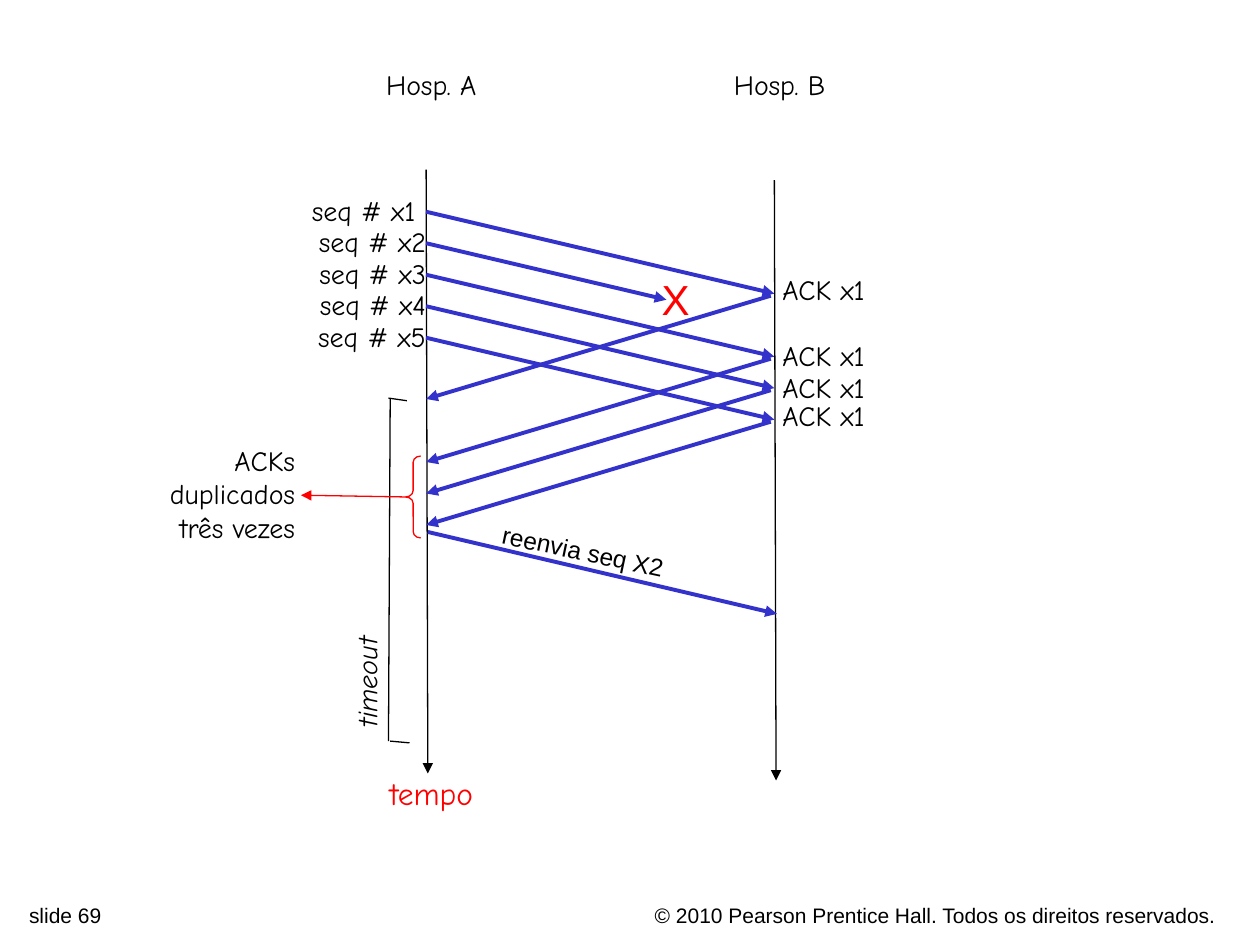
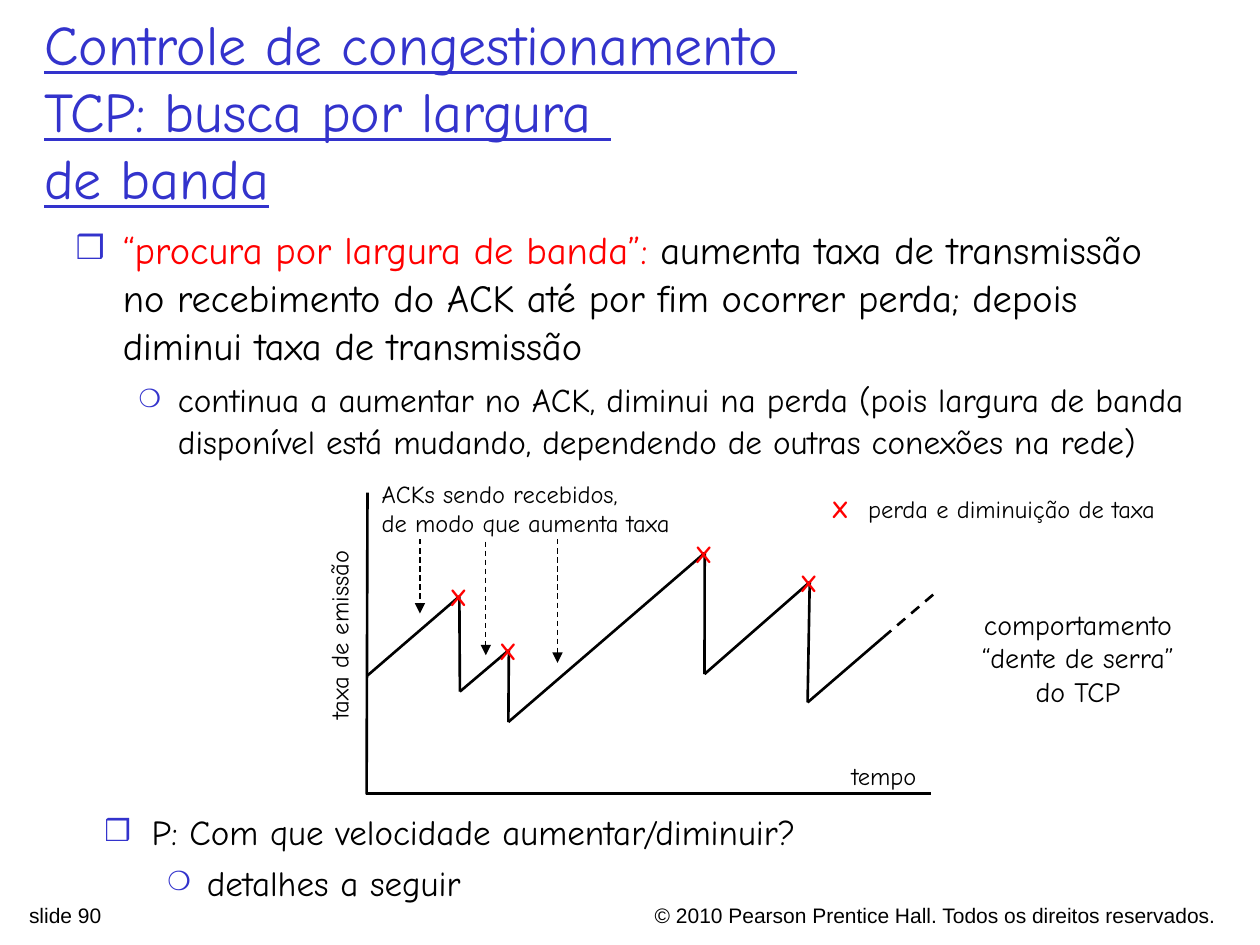
from dataclasses import dataclass
from itertools import pairwise

from lxml.etree import SubElement
from pptx import Presentation
from pptx.dml.color import RGBColor
from pptx.enum.dml import MSO_LINE
from pptx.enum.shapes import MSO_CONNECTOR, MSO_SHAPE
from pptx.enum.text import MSO_ANCHOR, MSO_AUTO_SIZE, PP_ALIGN as Align
from pptx.oxml.ns import qn
from pptx.util import Pt


@dataclass(frozen=True)
class Theme:
    """Colours, fonts and type sizes shared by the slides."""
    black: RGBColor = RGBColor(0x00, 0x00, 0x00)
    blue: RGBColor = RGBColor(0x33, 0x33, 0xCC)
    red: RGBColor = RGBColor(0xFF, 0x00, 0x00)
    hand: str = "Comic Neue"
    plain: str = "Arial"
    title: int = 32
    lost: int = 24
    lead: int = 22
    question: int = 20
    detail: int = 19
    axis: int = 18
    label: int = 16
    small: int = 14
    footer: int = 12
    thin: float = 0.75
    medium: float = 1.5
    thick: float = 2.25


@dataclass(frozen=True)
class Box:
    """A region of a slide, in points."""
    left: float
    top: float
    width: float
    height: float

    def point(self, x, y):
        """Return the slide position of a point inside the box."""
        return self.left + x, self.top + y

    def inner(self, x, y, width, height):
        """Return a smaller box placed inside this one."""
        return Box(*self.point(x, y), width, height)

    def centred(self, x, y, width, height):
        """Return a smaller box centred on a point of this one."""
        return self.inner(x - width / 2, y - height / 2, width, height)

    def lengths(self):
        """Return left, top, width and height as lengths."""
        return [Pt(value) for value in (self.left, self.top, self.width, self.height)]


THEME = Theme()
BULLETS = (
    {"mark": "❒", "percent": 85, "margin": 27, "hang": 27},
    {"mark": "❍", "percent": 75, "margin": 58.5, "hang": 22.5},
)


def style_run(run, size, color=THEME.black, font=THEME.hand):
    """Give a run its font, size and colour."""
    run.font.name = font
    run.font.size = Pt(size)
    run.font.color.rgb = color


def add_label(slide, box, text, size=THEME.label, color=THEME.black, font=THEME.hand,
              align=Align.LEFT, bold=False, italic=False, rotation=0):
    """Add a text box in one style."""
    label = slide.shapes.add_textbox(*box.lengths())
    label.rotation = rotation
    label.text_frame.word_wrap = True
    label.text_frame.text = text
    for paragraph in label.text_frame.paragraphs:
        paragraph.alignment = align
        for run in paragraph.runs:
            style_run(run, size, color, font)
            run.font.bold = bold
            run.font.italic = italic
    return label


def add_line(slide, start, end, color=THEME.black, width=THEME.thin, arrow=False, dashed=False):
    """Add a straight line, with an arrowhead at its end if asked."""
    ends = [Pt(value) for value in (*start, *end)]
    line = slide.shapes.add_connector(MSO_CONNECTOR.STRAIGHT, *ends)
    line.line.color.rgb = color
    line.line.width = Pt(width)
    if dashed:
        line.line.dash_style = MSO_LINE.DASH
    properties = line._element.spPr
    if arrow:
        SubElement(properties.find(qn("a:ln")), qn("a:tailEnd"), type="triangle")
    SubElement(properties, qn("a:effectLst"))
    return line


def add_footer(slide, box, number):
    """Add the slide number and the copyright line."""
    add_label(slide, box.inner(0, 0, 253, 17), f"slide {number}", THEME.footer, font=THEME.plain)
    add_label(slide, box.inner(box.width - 368, 0, 368, 17),
              "© 2010 Pearson Prentice Hall. Todos os direitos reservados.",
              THEME.footer, font=THEME.plain, align=Align.RIGHT)


def place(placeholder, box):
    """Move a placeholder to a box and return its text frame."""
    placeholder.left, placeholder.top, placeholder.width, placeholder.height = box.lengths()
    frame = placeholder.text_frame
    frame.auto_size = MSO_AUTO_SIZE.NONE
    frame.word_wrap = True
    return frame


def fill_title(placeholder, box, text):
    """Write the underlined slide title."""
    frame = place(placeholder, box)
    frame.vertical_anchor = MSO_ANCHOR.MIDDLE
    frame.text = text
    paragraph = frame.paragraphs[0]
    paragraph.alignment = Align.LEFT
    for run in paragraph.runs:
        style_run(run, THEME.title, THEME.blue)
        run.font.underline = True


def add_bullet(paragraph, level):
    """Set the level, indent and bullet of a paragraph."""
    bullet = BULLETS[level]
    paragraph.level = level
    properties = paragraph._p.get_or_add_pPr()
    properties.set("marL", str(Pt(bullet["margin"])))
    properties.set("indent", str(-Pt(bullet["hang"])))
    color = SubElement(properties, qn("a:buClr"))
    SubElement(color, qn("a:srgbClr"), val=str(THEME.blue))
    SubElement(properties, qn("a:buSzPct"), val=str(bullet["percent"] * 1000))
    SubElement(properties, qn("a:buChar"), char=bullet["mark"])


def fill_list(placeholder, box, items, spacing=1.0):
    """Write items of level, size and coloured pieces as a bulleted list."""
    frame = place(placeholder, box)
    for index, (level, size, pieces) in enumerate(items):
        paragraph = frame.add_paragraph() if index else frame.paragraphs[0]
        add_bullet(paragraph, level)
        paragraph.space_before = Pt(5 if index else 0)
        paragraph.line_spacing = spacing
        for text, color in pieces:
            run = paragraph.add_run()
            run.text = text
            style_run(run, size, color)


def draw_hosts(slide, box, host_a, host_b):
    """Draw the two hosts and their time lines."""
    for name, x, top, bottom in (("A", host_a, 62, 407), ("B", host_b, 68, 411)):
        add_label(slide, box.inner(x - 37, 0, 80, 27), f"Hosp. {name}", align=Align.CENTER)
        add_line(slide, box.point(x, top), box.point(x + 1, bottom), arrow=True)
    add_label(slide, box.inner(host_a - 37, 404, 80, 29), "tempo", THEME.axis, THEME.red,
              align=Align.CENTER)


def draw_segments(slide, box, host_a, host_b):
    """Draw the sent segments, their acknowledgements and the resent one."""
    arrow = {"color": THEME.blue, "width": THEME.thick, "arrow": True}
    first, step, fall, ack_fall = 86, 18, 46.8, 59
    lost = 1
    ack_nudges = {0: -17, 2: -15, 3: -15, 4: -17}
    for index in range(5):
        sent = first + step * index
        reach = 0.69 if index == lost else 1
        end = box.point(host_a + (host_b - host_a) * reach, sent + fall * reach)
        add_line(slide, box.point(host_a, sent), end, **arrow)
        right = host_a + (7 if index else 1)
        add_label(slide, box.inner(right - 94, sent - 14, 94, 27), f"seq # x{index + 1}",
                  align=Align.RIGHT)
        if index == lost:
            continue
        ack = sent + 48
        add_line(slide, box.point(host_b - 2, ack), box.point(host_a, ack + ack_fall), **arrow)
        add_label(slide, box.inner(host_b - 2.5, ack + ack_nudges[index], 94, 27), "ACK x1")
    add_label(slide, box.centred(306, 135.5, 40, 36), "X", THEME.lost, THEME.red, THEME.plain,
              Align.CENTER)
    resent = 269
    add_line(slide, box.point(host_a + 1, resent), box.point(host_b + 1.5, resent + fall), **arrow)
    add_label(slide, box.inner(198.6, 273.2, 160, 24.5), "reenvia seq X2", THEME.small,
              font=THEME.plain, rotation=11.9)


def draw_timeout(slide, box):
    """Draw the timeout bracket and the brace around the repeated ACKs."""
    for start, end in (((143, 192.5), (142, 388.5)),
                       ((142, 192.5), (152.5, 194)),
                       ((143, 388.5), (154, 389.5))):
        add_line(slide, box.point(*start), box.point(*end))
    add_label(slide, box.inner(87.8, 341.6, 83, 26.5), "timeout", align=Align.CENTER,
              italic=True, rotation=270)
    brace = slide.shapes.add_shape(MSO_SHAPE.LEFT_BRACE,
                                   *box.inner(151.8, 225.6, 8.6, 46.8).lengths())
    brace.adjustments[0] = 0.42
    brace.shadow.inherit = False
    brace.fill.background()
    brace.line.color.rgb = THEME.red
    brace.line.width = Pt(THEME.thin)
    pointer = add_line(slide, box.point(151.8, 249), box.point(92, 248), THEME.red, arrow=True)
    pointer.begin_connect(brace, 1)
    add_label(slide, box.inner(0, 214.8, 95.7, 65), "ACKs\vduplicados\vtrês vezes",
              align=Align.RIGHT)


def draw_retransmission(slide, box):
    """Draw the whole fast retransmission diagram."""
    host_a, host_b = 163.5, 362.5
    draw_hosts(slide, box, host_a, host_b)
    draw_segments(slide, box, host_a, host_b)
    draw_timeout(slide, box)


def draw_sawtooth(slide, box):
    """Draw the sending rate over time with its losses."""
    solid = {"width": THEME.medium}
    small = {"size": THEME.small}
    cross = {"size": THEME.small, "color": THEME.red, "align": Align.CENTER, "bold": True}
    rate = [(30, 116), (82.5, 70.8), (82.8, 125.2), (110.8, 101.5), (110.5, 142.6),
            (222.7, 46), (222.6, 115.2), (282.7, 62.6), (281.5, 131.4), (324.7, 94.2)]
    add_line(slide, box.point(30, 11.5), box.point(29.5, 184), **solid)
    add_line(slide, box.point(29, 183.6), box.point(352, 183.6), **solid)
    for start, end in pairwise(rate):
        add_line(slide, box.point(*start), box.point(*end), **solid)
    add_line(slide, box.point(*rate[-1]), box.point(355.7, 67.7), dashed=True, **solid)
    for x, top, bottom in ((60, 38.2, 80.6), (97.6, 39.5, 104.4), (138.6, 38.2, 108.8)):
        add_line(slide, box.point(x, top), box.point(x, bottom), arrow=True, dashed=True)
    for x, y in (*rate[1:8:2], (300.6, 20.3)):
        add_label(slide, box.centred(x - 0.5, y + 0.7, 40, 24.5), "X", **cross)
    add_label(slide, box.inner(31, 0, 190, 41),
              "ACKs sendo recebidos,\nde modo que aumenta taxa", **small)
    add_label(slide, box.inner(309, 8.6, 190, 24.5), "perda e diminuição de taxa", **small)
    add_label(slide, box.centred(14, 93, 124, 24.5), "taxa de emissão", align=Align.CENTER,
              rotation=270, **small)
    add_label(slide, box.inner(299.5, 161.3, 60, 24.5), "tempo", **small)
    add_label(slide, box.inner(368, 73.4, 136, 65),
              "comportamento\v“dente de serra”\vdo TCP", align=Align.CENTER)


def build_retransmission_slide(presentation, footer):
    """Build the slide with the fast retransmission diagram."""
    slide = presentation.slides.add_slide(presentation.slide_layouts[6])
    add_footer(slide, footer, 69)
    draw_retransmission(slide, Box(80, 35, 460, 435))


def build_bandwidth_slide(presentation, footer):
    """Build the slide on probing for bandwidth."""
    slide = presentation.slides.add_slide(presentation.slide_layouts[3])
    add_footer(slide, footer, 90)
    title, probing, question = slide.placeholders
    fill_title(title, Box(18, 18, 666, 90),
               "Controle de congestionamento \vTCP: busca por largura \vde banda")
    fill_list(probing, Box(36, 124, 648, 114), [
        (0, THEME.lead, [
            ("“procura por largura de banda”: ", THEME.red),
            ("aumenta taxa de transmissão no recebimento do ACK até por fim ocorrer perda; "
             "depois diminui taxa de transmissão", THEME.black)]),
        (1, THEME.detail, [
            ("continua a aumentar no ACK, diminui na perda (pois largura de banda disponível "
             "está mudando, dependendo de outras conexões na rede)", THEME.black)]),
    ], spacing=1.05)
    draw_sawtooth(slide, Box(180, 270, 505, 186))
    fill_list(question, Box(52.5, 459.4, 648, 68), [
        (0, THEME.question, [("P: Com que velocidade aumentar/diminuir?", THEME.black)]),
        (1, THEME.question, [("detalhes a seguir", THEME.black)]),
    ])


def main():
    """Build and save the presentation."""
    presentation = Presentation()
    presentation.slide_width, presentation.slide_height = Pt(720), Pt(540)
    footer = Box(9.5, 512, 692.5, 17)
    build_retransmission_slide(presentation, footer)
    build_bandwidth_slide(presentation, footer)
    presentation.save("out.pptx")


if __name__ == "__main__":
    main()
